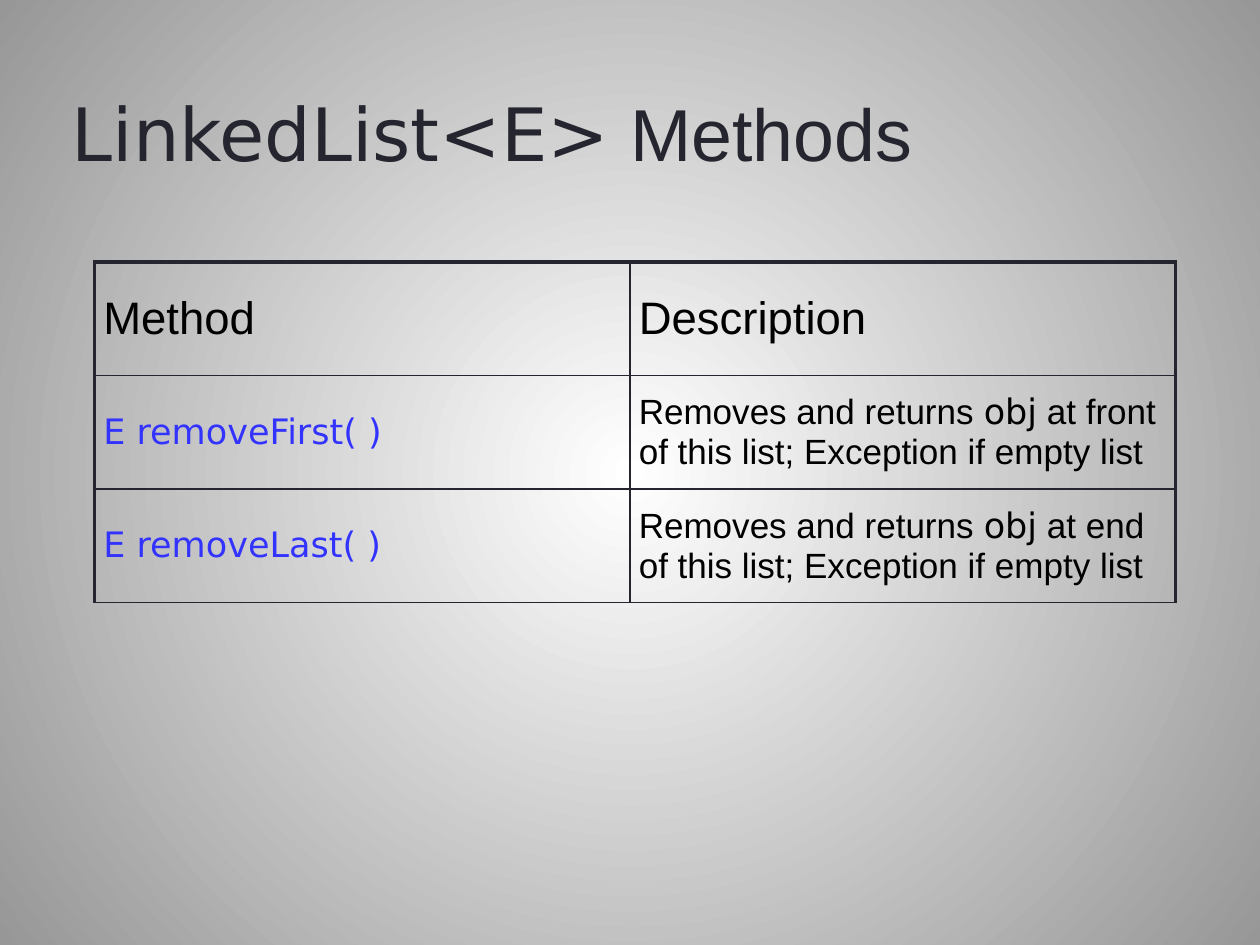
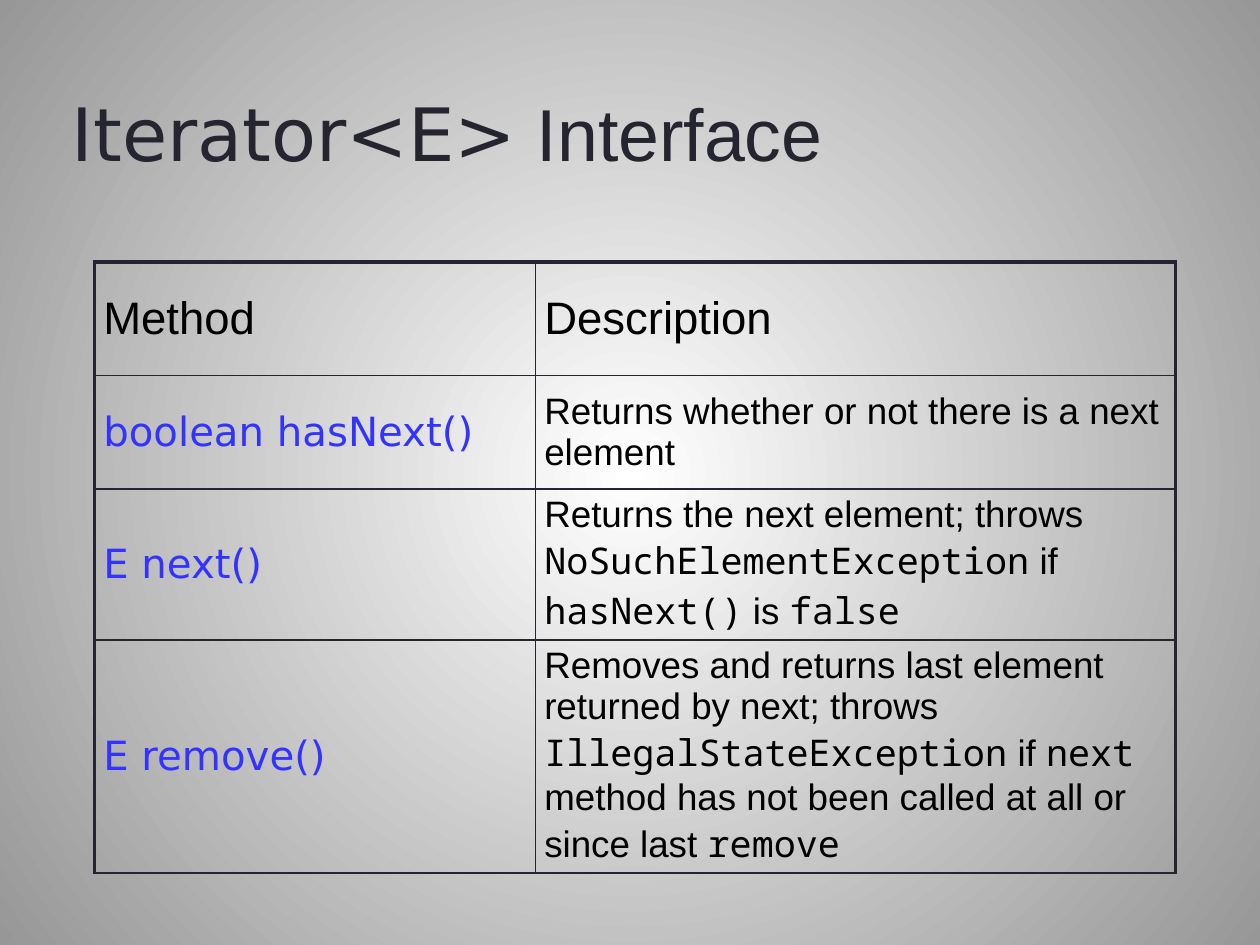
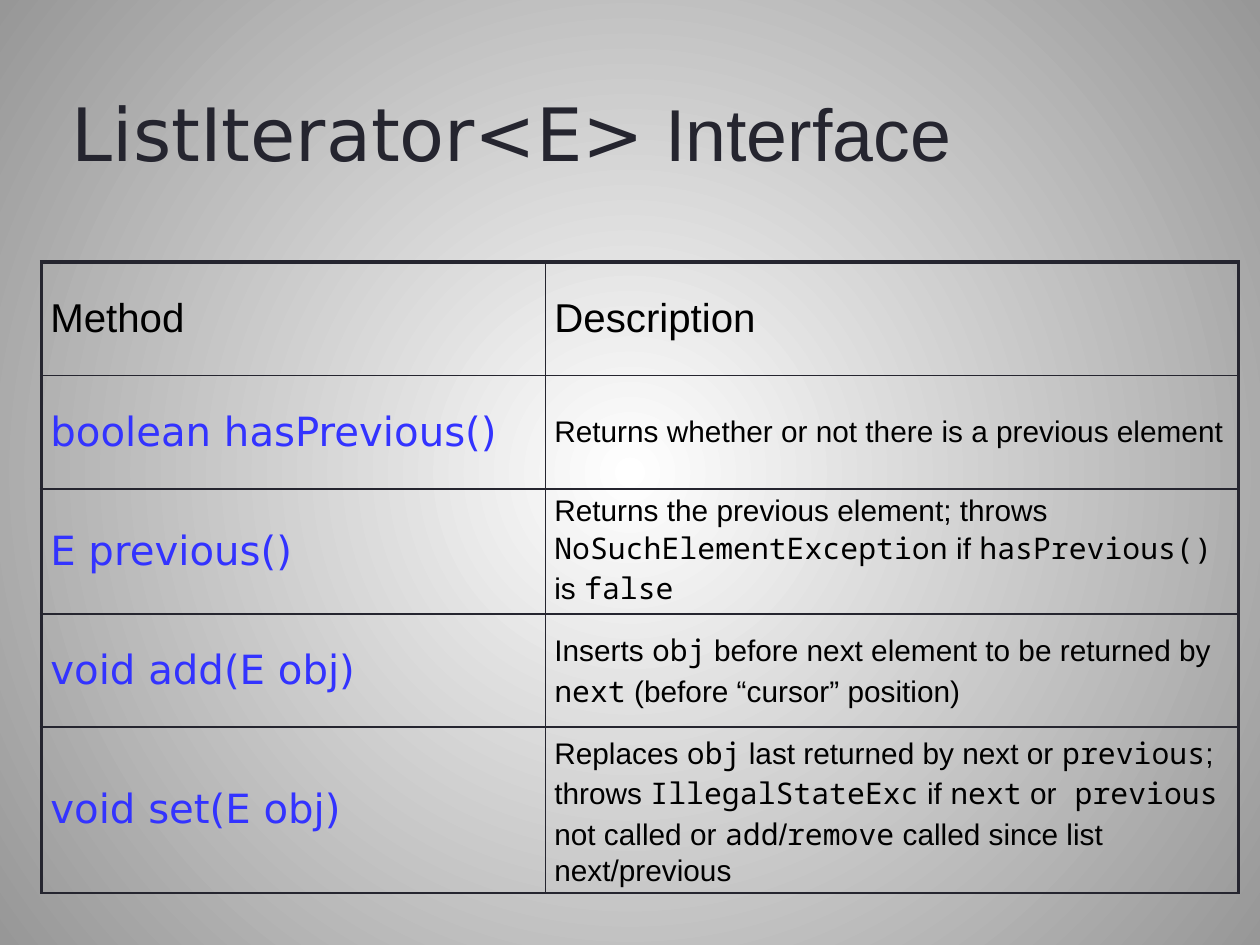
from dataclasses import dataclass
from itertools import cycle

from lxml import etree
from pptx import Presentation
from pptx import util as u
from pptx.dml.color import RGBColor
from pptx.enum import text
from pptx.oxml.ns import qn

INK = RGBColor(0x25, 0x25, 0x2F)
BLACK = RGBColor(0x00, 0x00, 0x00)
METHOD_BLUE = RGBColor(0x33, 0x33, 0xFF)
GLOW = RGBColor(0xFF, 0xFF, 0xFF)
EDGE_GREY = RGBColor(0x97, 0x97, 0x97)

PROSE = "Arial"
SIGNATURE = "DejaVu Sans"
MONO = "Noto Sans Mono"

TITLE_SIZE = 42
TABLE_TOP = u.Inches(2.08)
ROW_HEIGHT = u.Inches(0.9)
SIDE_MARGIN = u.Inches(0.07)
CELL_MARGIN = u.Inches(0.04)
OUTER_LINE = u.Pt(2.25)
INNER_LINE = u.Pt(1)


@dataclass(frozen=True)
class Method:
    signature: str
    description: tuple[str, ...]


@dataclass(frozen=True)
class MethodSlide:
    type_name: str
    kind: str
    left: float
    height: float
    columns: tuple[float, float]
    header_size: int
    method_size: int
    description_size: int
    code_font: str
    methods: tuple[Method, ...]


SLIDES = (
    MethodSlide(
        "LinkedList<E>", " Methods", 0.75, 2.7, (4.25, 4.33), 26, 20, 20, SIGNATURE,
        (
            Method("E removeFirst( )", (
                "Removes and returns ", "obj",
                " at front of this list; Exception if empty list")),
            Method("E removeLast( )", (
                "Removes and returns ", "obj",
                " at end of this list; Exception if empty list")),
        ),
    ),
    MethodSlide(
        "Iterator<E>", " Interface", 0.75, 4.8, (3.5, 5.08), 26, 23, 21, MONO,
        (
            Method("boolean hasNext()", (
                "Returns whether or not there is a next element",)),
            Method("E next()", (
                "Returns the next element; throws ", "NoSuchElementException",
                " if ", "hasNext()", " is ", "false")),
            Method("E remove()", (
                "Removes and returns last element returned by next; throws ",
                "IllegalStateException", " if ", "next",
                " method has not been called at all or since last ", "remove")),
        ),
    ),
    MethodSlide(
        "ListIterator<E>", " Interface", 0.33, 4.88, (4, 5.5), 23, 23, 17, MONO,
        (
            Method("boolean hasPrevious()", (
                "Returns whether or not there is a previous element",)),
            Method("E previous()", (
                "Returns the previous element; throws ", "NoSuchElementException",
                " if ", "hasPrevious()", " is ", "false")),
            Method("void add(E obj)", (
                "Inserts ", "obj", " before next element to be returned by ",
                "next", " (before “cursor” position)")),
            Method("void set(E obj)", (
                "Replaces ", "obj", " last returned by next or ", "previous",
                "; throws ", "IllegalStateExc", " if ", "next", " or", " previous",
                " not called or ", "add", "/", "remove",
                " called since list next/previous")),
        ),
    ),
)


def paint_background(master) -> None:
    fill = master.background.fill
    fill.gradient()
    for stop, color in zip(fill.gradient_stops, (GLOW, EDGE_GREY)):
        stop.color.rgb = color
    gradient = master.element.find(".//" + qn("a:gradFill"))
    gradient.remove(gradient.find(qn("a:lin")))
    circle = etree.SubElement(gradient, qn("a:path"), {"path": "circle"})
    center = dict.fromkeys("ltrb", "50000")
    etree.SubElement(circle, qn("a:fillToRect"), center)


def add_run(paragraph, words: str, font: str, size: int, color: RGBColor) -> None:
    run = paragraph.add_run()
    run.text = words
    run.font.name = font
    run.font.size = u.Pt(size)
    run.font.color.rgb = color


def write_title(title, content: MethodSlide) -> None:
    title.left, title.top = u.Inches(0.5), u.Inches(0.21)
    title.width, title.height = u.Inches(8.83), u.Inches(1.67)
    frame = title.text_frame
    frame.auto_size = text.MSO_AUTO_SIZE.NONE
    frame.word_wrap = True
    frame.vertical_anchor = text.MSO_ANCHOR.MIDDLE
    frame.margin_left = frame.margin_right = SIDE_MARGIN
    frame.margin_top = frame.margin_bottom = CELL_MARGIN
    paragraph = frame.paragraphs[0]
    paragraph.alignment = text.PP_ALIGN.LEFT
    add_run(paragraph, content.type_name, SIGNATURE, TITLE_SIZE, INK)
    add_run(paragraph, content.kind, PROSE, TITLE_SIZE, INK)


def rule_cell(cell, outer_sides: str) -> None:
    properties = cell._tc.get_or_add_tcPr()
    for side in "LRTB":
        width = OUTER_LINE if side in outer_sides else INNER_LINE
        line = etree.SubElement(properties, qn(f"a:ln{side}"), {"w": str(int(width))})
        solid = etree.SubElement(line, qn("a:solidFill"))
        etree.SubElement(solid, qn("a:srgbClr"), {"val": str(INK)})


def write_cell(cell, words: tuple[str, ...], fonts: tuple[str, ...], size: int,
               color: RGBColor, outer_sides: str) -> None:
    rule_cell(cell, outer_sides)
    cell.fill.background()
    cell.vertical_anchor = text.MSO_ANCHOR.MIDDLE
    cell.margin_left = cell.margin_right = SIDE_MARGIN
    cell.margin_top = cell.margin_bottom = CELL_MARGIN
    paragraph = cell.text_frame.paragraphs[0]
    for part, font in zip(words, cycle(fonts)):
        add_run(paragraph, part, font, size, color)


def add_method_table(slide, content: MethodSlide) -> None:
    row_count = len(content.methods) + 1
    frame = slide.shapes.add_table(
        row_count, 2, u.Inches(content.left), TABLE_TOP,
        u.Inches(sum(content.columns)), ROW_HEIGHT * row_count)
    table = frame.table
    table.first_row = table.horz_banding = False
    for column, width in zip(table.columns, content.columns):
        column.width = u.Inches(width)
    frame.height = u.Inches(content.height)

    for column, (heading, sides) in enumerate((("Method", "LT"), ("Description", "RT"))):
        write_cell(table.cell(0, column), (heading,), (PROSE,),
                   content.header_size, BLACK, sides)
    for row, method in enumerate(content.methods, start=1):
        write_cell(table.cell(row, 0), (method.signature,), (SIGNATURE,),
                   content.method_size, METHOD_BLUE, "L")
        write_cell(table.cell(row, 1), method.description, (PROSE, content.code_font),
                   content.description_size, BLACK, "R")


def main() -> None:
    deck = Presentation()
    deck.slide_width, deck.slide_height = u.Inches(10), u.Inches(7.5)
    paint_background(deck.slide_master)
    title_only = deck.slide_layouts.get_by_name("Title Only")
    for content in SLIDES:
        slide = deck.slides.add_slide(title_only)
        write_title(slide.shapes.title, content)
        add_method_table(slide, content)
    deck.save("out.pptx")


if __name__ == "__main__":
    main()
